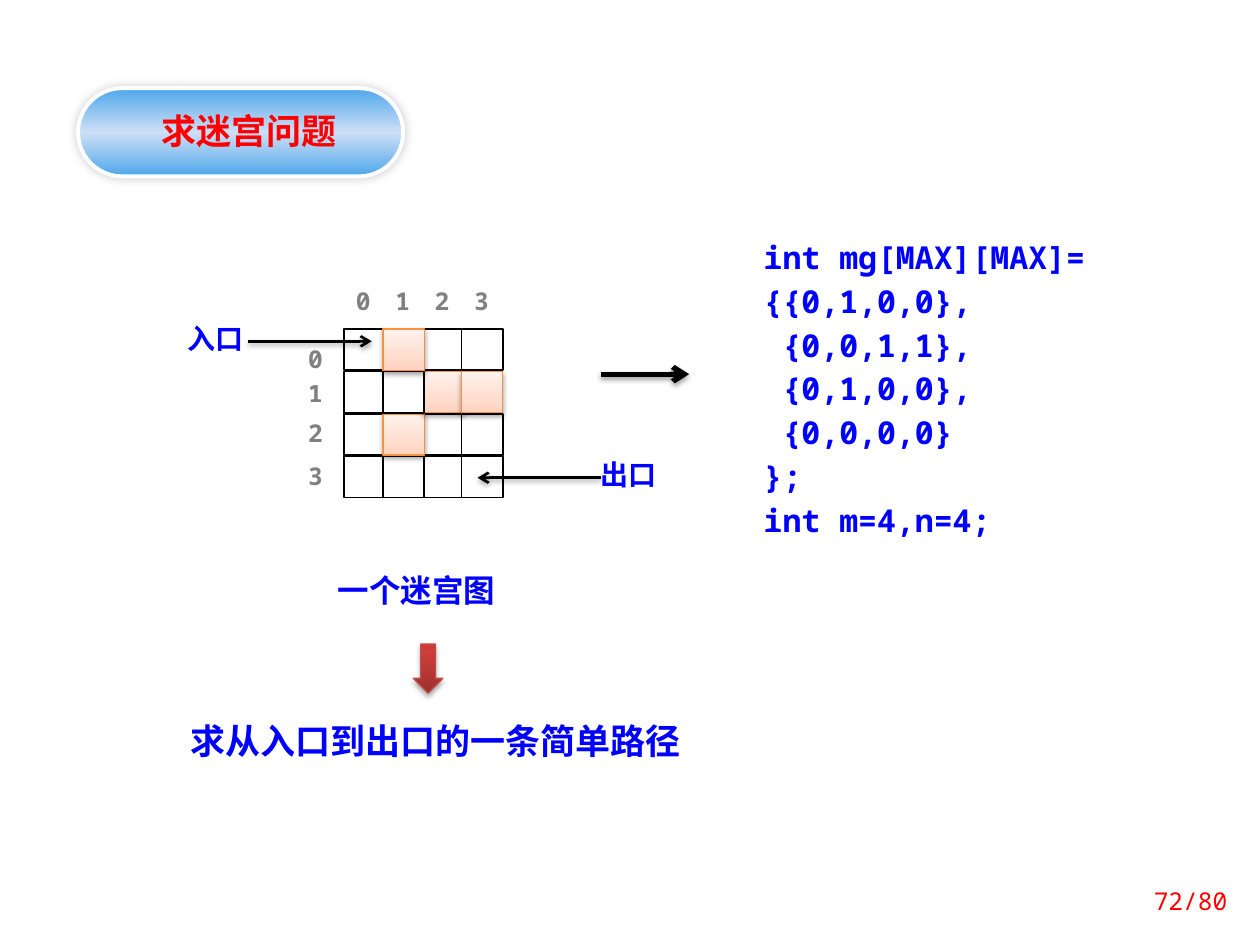
from copy import deepcopy

from lxml.etree import SubElement
from pptx import Presentation
from pptx.dml.color import RGBColor
from pptx.enum.shapes import MSO_CONNECTOR, MSO_SHAPE
from pptx.enum.text import MSO_ANCHOR, PP_ALIGN
from pptx.oxml.ns import qn
from pptx.util import Pt

CJK, MONO = "Noto Sans CJK SC", "Noto Sans Mono"
BLUE, RED, GRAY, BLACK, WHITE = "0000FF", "FF0000", "808080", "000000", "FFFFFF"
WALL = [(0, "FFD2BD"), (0.35, "FFDED0"), (1, "FFF2ED")]
LIFTED = (38, 3.1, 1.6, 90)
color = RGBColor.from_string


def style(shape, fill=None, line=None, width=1, shadow=None):
    if isinstance(fill, str):
        shape.fill.solid()
        shape.fill.fore_color.rgb = color(fill)
    elif fill:
        shape.fill.gradient()
        shape.fill.gradient_angle = 90
        stop_list = shape._element.spPr.find(".//" + qn("a:gsLst"))
        stop_list.append(deepcopy(stop_list[0]))
        for stop, (position, tone) in zip(shape.fill.gradient_stops, fill):
            stop.position = position
            stop.color.rgb = color(tone)
    if line:
        shape.line.color.rgb = color(line)
        shape.line.width = Pt(width)
    else:
        shape.line.fill.background()
    effects = SubElement(shape._element.spPr, qn("a:effectLst"))
    if shadow:
        alpha, blur, distance, angle = shadow
        outer = SubElement(effects, qn("a:outerShdw"), blurRad=str(Pt(blur)),
                           dist=str(Pt(distance)), dir=str(angle * 60000), rotWithShape="0")
        tint = SubElement(outer, qn("a:srgbClr"), val=BLACK)
        SubElement(tint, qn("a:alpha"), val=str(alpha * 1000))


def write(shape, lines, size, font, tone, bold=True, align=PP_ALIGN.LEFT,
          anchor=MSO_ANCHOR.TOP, insets=(7.2, 3.6), spacing=None):
    frame = shape.text_frame
    frame.word_wrap = True
    frame.vertical_anchor = anchor
    frame.margin_left = frame.margin_right = Pt(insets[0])
    frame.margin_top = frame.margin_bottom = Pt(insets[1])
    for index, line in enumerate(lines):
        para = frame.add_paragraph() if index else frame.paragraphs[0]
        para.alignment = align
        if spacing:
            para.line_spacing = Pt(spacing)
        span = para.add_run()
        span.text = line
        span.font.size = Pt(size)
        span.font.bold = bold
        span.font.color.rgb = color(tone)
        span.font.name = font
        SubElement(span._r.get_or_add_rPr(), qn("a:ea"), typeface=font)


deck = Presentation()
deck.slide_width, deck.slide_height = Pt(720), Pt(540)
page = deck.slides.add_slide(deck.slide_layouts[5])

maze_rows = ["0100", "0011", "0100", "0000"]
cell_size = 23.6
maze = page.shapes.add_group_shape()
for row in reversed(range(4)):
    for column in (0, 2, 1, 3):
        cell = maze.shapes.add_shape(
            MSO_SHAPE.RECTANGLE, Pt(196.5 + 22.4 * column), Pt(188 + 24.25 * row),
            Pt(cell_size), Pt(cell_size))
        if maze_rows[row][column] == "1":
            style(cell, WALL, "F69240", 0.75, LIFTED)
        else:
            style(cell, WHITE, BLACK)

column_labels = [(str(n), 195.8 + 22.5 * n, 163.4, cell_size, 14, MONO, GRAY) for n in range(4)]
row_labels = [(str(n), 168.5, top, cell_size, 14, MONO, GRAY)
              for n, top in ((3, 263.5), (2, 239), (1, 216), (0, 196.5))]
door_labels = [("出口", 337.7, 261.4, 43.2, 16, CJK, BLUE),
               ("入口", 101.5, 183.6, 43.2, 16, CJK, BLUE)]
for text, left, top, width, size, font, tone in column_labels + row_labels + door_labels:
    label = maze.shapes.add_shape(MSO_SHAPE.RECTANGLE, Pt(left), Pt(top), Pt(width), Pt(cell_size))
    style(label, WHITE)
    write(label, [text], size, font, tone, align=PP_ALIGN.CENTER, insets=(0, 0))

code = page.shapes.add_shape(MSO_SHAPE.RECTANGLE, Pt(422), Pt(124), Pt(219.6), Pt(193.7))
style(code, WHITE)
write(code, ["int mg[MAX][MAX]=", "{{0,1,0,0},", " {0,0,1,1},", " {0,1,0,0},",
             " {0,0,0,0}", "};", "int m=4,n=4;"],
      18, MONO, BLUE, insets=(14.4, 8.64), spacing=25)

for parent, start, end, y, width in ((maze, 141.8, 212.4, 195, 1.5),
                                     (maze, 343.4, 272.9, 273, 1.5),
                                     (page, 343.4, 393.8, 213.8, 3)):
    arrow = parent.shapes.add_connector(MSO_CONNECTOR.STRAIGHT, Pt(start), Pt(y), Pt(end), Pt(y))
    style(arrow, line=BLACK, width=width, shadow=LIFTED)
    SubElement(arrow.line._get_or_add_ln(), qn("a:tailEnd"), type="arrow")

for text, left, top, width, height, size, font in (
        ("一个迷宫图", 185.8, 322.6, 118, 29, 18, CJK),
        ("求从入口到出口的一条简单路径", 101.5, 407.5, 303.8, 31.5, 20, MONO)):
    caption = page.shapes.add_textbox(Pt(left), Pt(top), Pt(width), Pt(height))
    write(caption, [text], size, font, BLUE)

down_arrow = page.shapes.add_shape(MSO_SHAPE.DOWN_ARROW, Pt(236.2), Pt(368), Pt(16.9), Pt(28.1))
style(down_arrow, [(0, "9C2F2D"), (0.8, "CB3E3A"), (1, "CE3B37")], "BF4C48", 0.75, (35, 3.1, 1.8, 90))

pill = page.shapes.add_shape(MSO_SHAPE.ROUNDED_RECTANGLE, Pt(44.6), Pt(50.4), Pt(185.8), Pt(50.4))
pill.adjustments[0] = 0.5
style(pill, [(0, "4EA7EA"), (0.5, "CDDFF6"), (1, "4EA7EA")], WHITE, 2.25, (20, 6, 0, 225))

title = page.shapes.title
title.left, title.top, title.width, title.height = Pt(61.2), Pt(59), Pt(162.7), Pt(31.5)
write(title, ["求迷宫问题"], 20, CJK, RED, align=PP_ALIGN.CENTER)
pill._element.addnext(title._element)

page_number = page.shapes.add_textbox(Pt(638), Pt(500.4), Pt(70.5), Pt(28.8))
write(page_number, ["72/80"], 14, MONO, RED, bold=False, align=PP_ALIGN.RIGHT, anchor=MSO_ANCHOR.MIDDLE)

deck.save("out.pptx")
